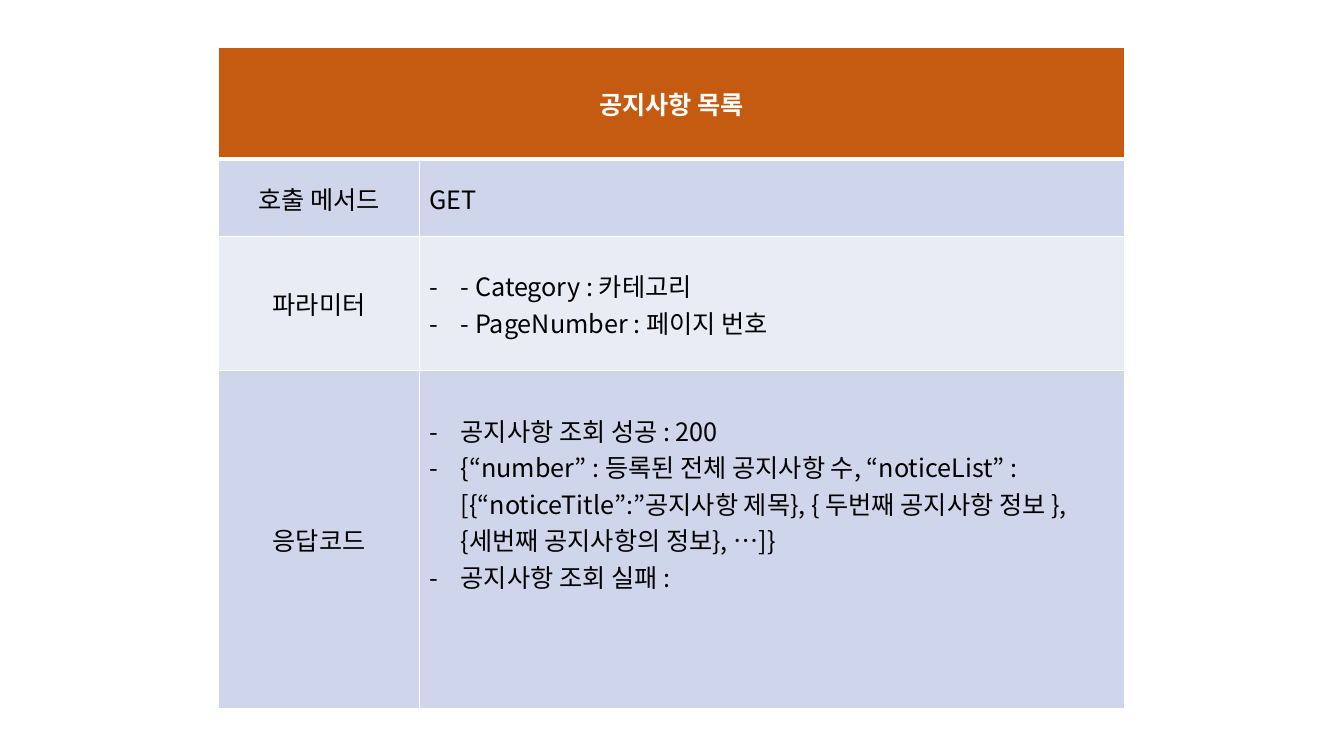
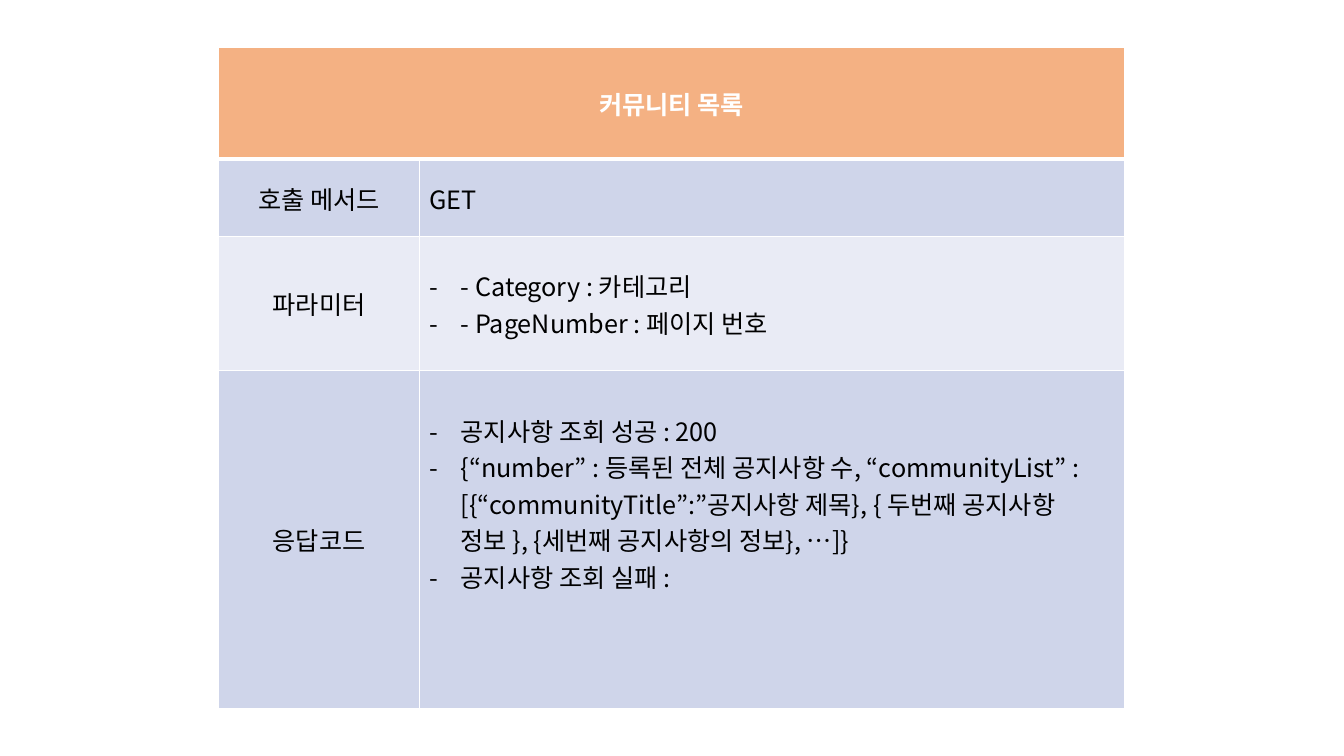
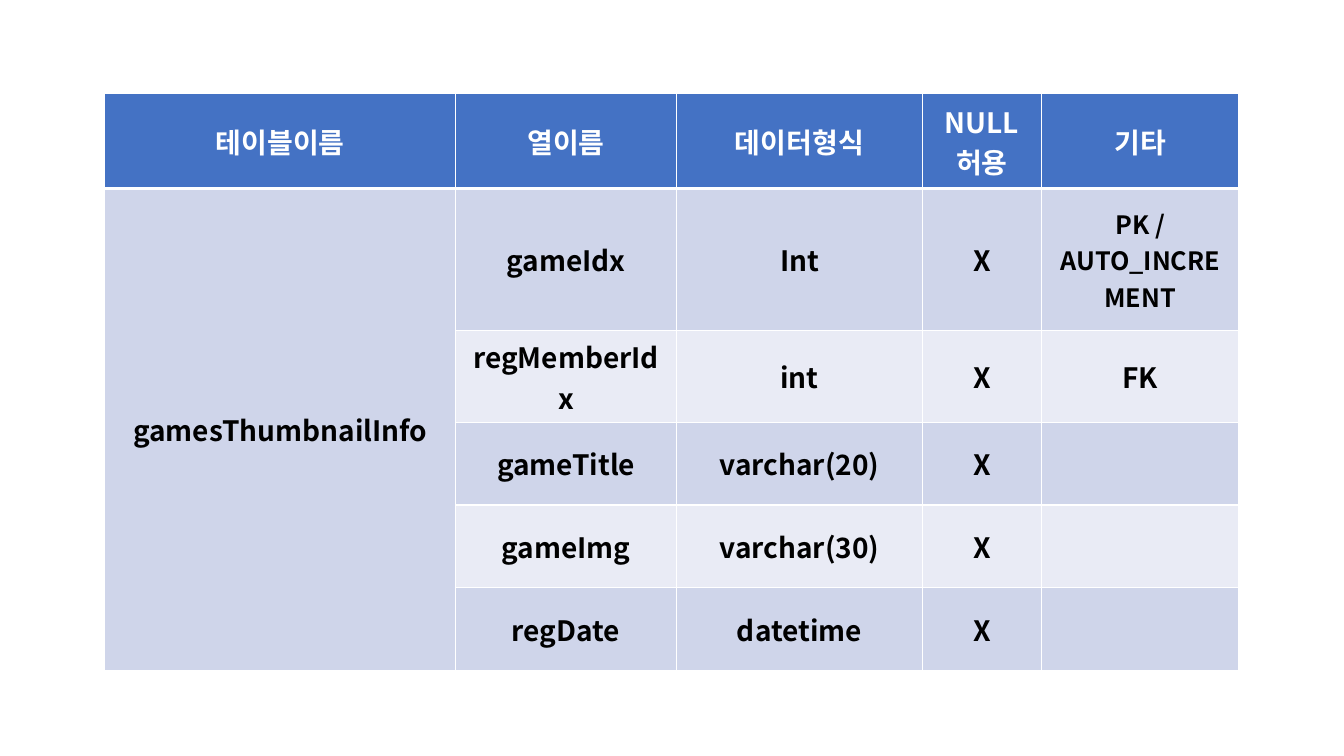
"""Build three slides of API and database specification tables."""
from dataclasses import dataclass

from lxml.etree import SubElement
from pptx import Presentation
from pptx.dml.color import RGBColor
from pptx.enum.text import MSO_ANCHOR, PP_ALIGN
from pptx.oxml.ns import qn
from pptx.util import Inches, Pt


@dataclass(frozen=True)
class Theme:
    font: str = "Noto Sans CJK KR"
    white: str = "FFFFFF"
    black: str = "000000"
    notice: str = "C55A11"
    community: str = "F4B183"
    database: str = "4472C4"
    bands: tuple = ("CFD5EA", "E9EBF5")
    body_size: int = 18
    large_size: int = 20
    rule: int = 1
    header_rule: int = 3
    indent: float = 0.31


theme = Theme()


def write(cell, text, size=theme.body_size, color=theme.black, bold=False,
          align=PP_ALIGN.CENTER, bullet=None):
    """Fill a cell with one paragraph for each line of text."""
    frame = cell.text_frame
    for index, line in enumerate(text.split("\n")):
        para = frame.add_paragraph() if index else frame.paragraphs[0]
        para.alignment = align
        if bullet:
            properties = para._p.get_or_add_pPr()
            properties.set("marL", str(Inches(theme.indent)))
            properties.set("indent", str(-Inches(theme.indent)))
            SubElement(properties, qn("a:buFont"), typeface=theme.font)
            SubElement(properties, qn("a:buChar"), char=bullet)
        span = para.add_run()
        span.text = line
        span.font.size = Pt(size)
        span.font.bold = bold
        span.font.name = theme.font
        span.font.color.rgb = RGBColor.from_string(color)
        SubElement(span._r.get_or_add_rPr(), qn("a:ea"), typeface=theme.font)


def make_table(page, left, top, widths, heights, header_color):
    """Add a table with white rules, a coloured header and banded rows."""
    frame = page.shapes.add_table(
        len(heights), len(widths), Inches(left), Inches(top),
        Inches(sum(widths)), Inches(sum(heights)))
    table = frame.table
    for column, width in zip(table.columns, widths):
        column.width = Inches(width)
    for number, (row, height) in enumerate(zip(table.rows, heights)):
        row.height = Inches(height)
        rules = {
            "L": theme.rule,
            "R": theme.rule,
            "T": theme.header_rule if number == 1 else theme.rule,
            "B": theme.header_rule if number == 0 else theme.rule,
        }
        color = theme.bands[(number - 1) % 2] if number else header_color
        for cell in row.cells:
            cell.vertical_anchor = MSO_ANCHOR.MIDDLE
            properties = cell._tc.get_or_add_tcPr()
            for side, width in rules.items():
                line = SubElement(properties, qn(f"a:ln{side}"), w=str(Pt(width)))
                fill = SubElement(line, qn("a:solidFill"))
                SubElement(fill, qn("a:srgbClr"), val=theme.white)
            cell.fill.solid()
            cell.fill.fore_color.rgb = RGBColor.from_string(color)
    return table


deck = Presentation()
deck.slide_width = Inches(13.33)
deck.slide_height = Inches(7.5)
blank = deck.slide_layouts[6]

interfaces = [
    ("공지사항 목록", theme.notice, "notice"),
    ("커뮤니티 목록", theme.community, "community"),
]
for title, header_color, prefix in interfaces:
    page = deck.slides.add_slide(blank)
    table = make_table(page, 2.17, 0.47, [1.99, 6.99],
                       [1.11, 0.77, 1.33, 3.35], header_color)
    table.cell(0, 0).merge(table.cell(0, 1))
    write(table.cell(0, 0), title, color=theme.white, bold=True)
    response = (
        "공지사항 조회 성공 : 200\n"
        f"{{“number” : 등록된 전체 공지사항 수, “{prefix}List” : "
        f"[{{“{prefix}Title”:”공지사항 제목}}, {{ 두번째 공지사항 정보 }}, "
        "{세번째 공지사항의 정보}, …]}\n"
        "공지사항 조회 실패 :"
    )
    details = [
        ("호출 메서드", "GET", None),
        ("파라미터", "- Category : 카테고리\n- PageNumber : 페이지 번호", "-"),
        ("응답코드", response, "-"),
    ]
    for number, (label, content, bullet) in enumerate(details, 1):
        write(table.cell(number, 0), label)
        write(table.cell(number, 1), content, align=PP_ALIGN.LEFT, bullet=bullet)
    response_cell = table.cell(3, 1)
    response_cell.vertical_anchor = MSO_ANCHOR.TOP
    response_cell.margin_top = Inches(0.41)

page = deck.slides.add_slide(blank)
table = make_table(page, 1.04, 0.93, [3.48, 2.19, 2.44, 1.18, 1.96],
                   [0.94, 1.41, 0.91, 0.82, 0.82, 0.82], theme.database)
table.cell(1, 0).merge(table.cell(5, 0))
schema = [
    ("테이블이름", "열이름", "데이터형식", "NULL허용", "기타"),
    ("gamesThumbnailInfo", "gameIdx", "Int", "X", "PK / AUTO_INCREMENT"),
    ("", "regMemberIdx", "int", "X", "FK"),
    ("", "gameTitle", "varchar(20)", "X", ""),
    ("", "gameImg", "varchar(30)", "X", ""),
    ("", "regDate", "datetime", "X", ""),
]
for number, values in enumerate(schema):
    for position, value in enumerate(values):
        if value:
            write(table.cell(number, position), value, bold=True,
                  size=theme.body_size if value.startswith("PK") else theme.large_size,
                  color=theme.black if number else theme.white)

deck.save("out.pptx")
